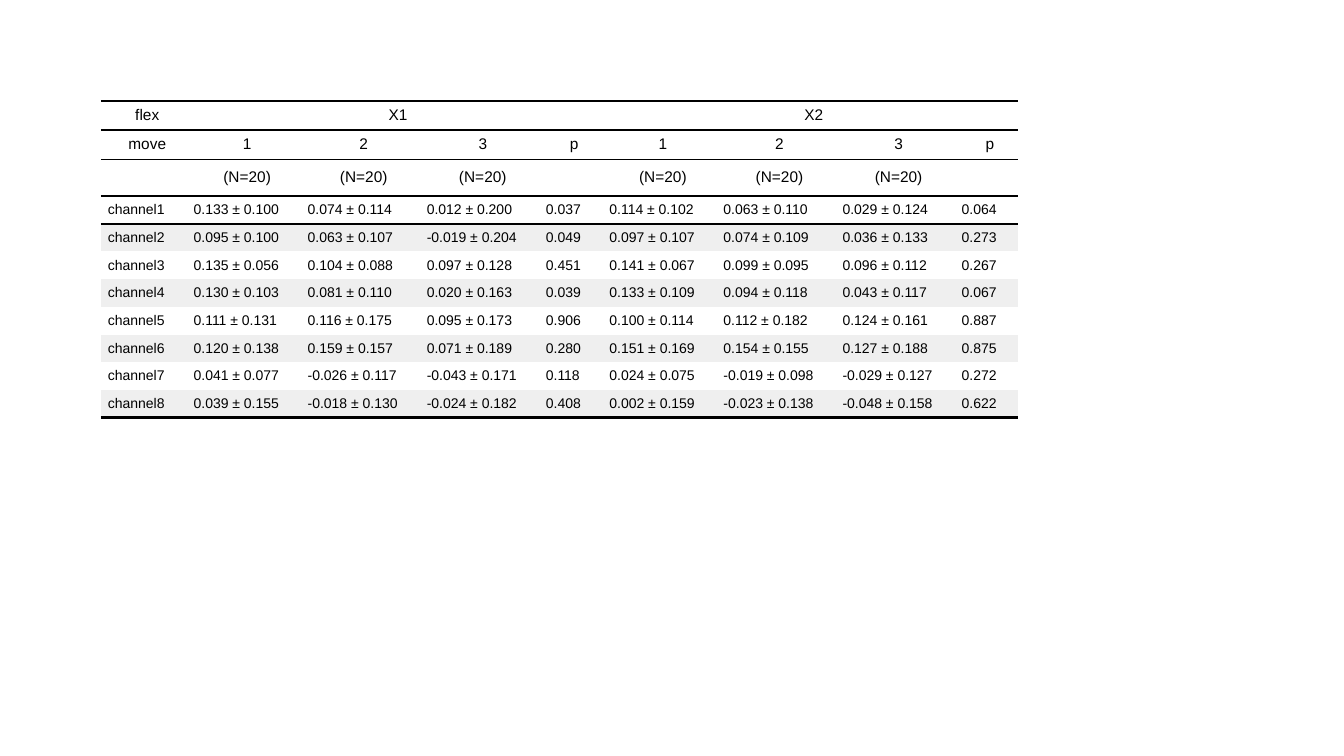
from lxml.etree import SubElement as Sub
from pptx import Presentation as Deck
from pptx.dml.color import RGBColor as Rgb
from pptx.enum.text import MSO_ANCHOR as Anchor, PP_ALIGN as Align
from pptx.oxml.ns import qn
from pptx.util import Inches, Pt

BLACK, GREY = "000000", "EFEFEF"
PLAIN = "{2D5ABB26-0587-4C30-8999-92F81FD0307C}"
GROUP = [1.13, 1.18, 1.18, 0.63]
WIDTHS = [0.85] + GROUP * 2
HEAD = [0.29, 0.29, 0.32]
BODY = 0.275
TITLES = [
    ["flex", "X1", "", "", "", "X2", "", "", ""],
    ["move"] + ["1", "2", "3", "p"] * 2,
    [""] + (["(N=20)"] * 3 + [""]) * 2,
]
STATS = [
    ["0.133 ± 0.100", "0.074 ± 0.114", "0.012 ± 0.200", "0.037",
     "0.114 ± 0.102", "0.063 ± 0.110", "0.029 ± 0.124", "0.064"],
    ["0.095 ± 0.100", "0.063 ± 0.107", "-0.019 ± 0.204", "0.049",
     "0.097 ± 0.107", "0.074 ± 0.109", "0.036 ± 0.133", "0.273"],
    ["0.135 ± 0.056", "0.104 ± 0.088", "0.097 ± 0.128", "0.451",
     "0.141 ± 0.067", "0.099 ± 0.095", "0.096 ± 0.112", "0.267"],
    ["0.130 ± 0.103", "0.081 ± 0.110", "0.020 ± 0.163", "0.039",
     "0.133 ± 0.109", "0.094 ± 0.118", "0.043 ± 0.117", "0.067"],
    ["0.111 ± 0.131", "0.116 ± 0.175", "0.095 ± 0.173", "0.906",
     "0.100 ± 0.114", "0.112 ± 0.182", "0.124 ± 0.161", "0.887"],
    ["0.120 ± 0.138", "0.159 ± 0.157", "0.071 ± 0.189", "0.280",
     "0.151 ± 0.169", "0.154 ± 0.155", "0.127 ± 0.188", "0.875"],
    ["0.041 ± 0.077", "-0.026 ± 0.117", "-0.043 ± 0.171", "0.118",
     "0.024 ± 0.075", "-0.019 ± 0.098", "-0.029 ± 0.127", "0.272"],
    ["0.039 ± 0.155", "-0.018 ± 0.130", "-0.024 ± 0.182", "0.408",
     "0.002 ± 0.159", "-0.023 ± 0.138", "-0.048 ± 0.158", "0.622"],
]
ROWS = TITLES + [[f"channel{n}"] + row for n, row in enumerate(STATS, 1)]
LAST = len(ROWS) - 1
RULES = {0: {"T": 2, "B": 1}, 1: {"T": 1}, 2: {"B": 2}, 3: {"T": 2}, LAST: {"B": 2}}


def color(code):
    return Rgb.from_string(code)


def border(cell, side, width):
    props = cell._tc.get_or_add_tcPr()
    line = Sub(props, qn(f"a:ln{side}"), w=str(Pt(width)))
    fill = Sub(line, qn("a:solidFill"))
    Sub(fill, qn("a:srgbClr"), val=BLACK)


def write(cell, text, head):
    para = cell.text_frame.paragraphs[0]
    para.alignment = Align.CENTER if head else Align.LEFT
    para.space_before = para.space_after = Pt(2)
    props = para._p.get_or_add_pPr()
    props.set("marL", str(Inches(0.07)))
    props.set("indent", "0")
    run = para.add_run()
    run.text = text
    run.font.name = "Arial"
    run.font.size = Pt(11 if head else 10)
    run.font.color.rgb = color(BLACK)


def style(cell, row):
    cell.margin_left = cell.margin_right = 0
    cell.margin_top = cell.margin_bottom = Inches(0.03)
    cell.vertical_anchor = Anchor.MIDDLE
    for side, width in RULES.get(row, {}).items():
        border(cell, side, width)
    if row > 3 and row % 2 == 0:
        cell.fill.solid()
        cell.fill.fore_color.rgb = color(GREY)
    else:
        cell.fill.background()


def results(slide, left, top, width, height):
    frame = slide.shapes.add_table(
        len(ROWS), len(WIDTHS), Inches(left), Inches(top), Inches(width), Inches(height))
    table = frame.table
    table.first_row = table.horz_banding = False
    table._tbl.tblPr.find(qn("a:tableStyleId")).text = PLAIN
    for col, size in zip(table.columns, WIDTHS):
        col.width = Inches(size * width / sum(WIDTHS))
    sizes = HEAD + [BODY] * len(STATS)
    for line, size in zip(table.rows, sizes):
        line.height = Inches(size * height / sum(sizes))
    for start in (1, 5):
        table.cell(0, start).merge(table.cell(0, start + 3))
    for row, texts in enumerate(ROWS):
        for col, text in enumerate(texts):
            cell = table.cell(row, col)
            style(cell, row)
            if text:
                write(cell, text, row < len(HEAD))


deck = Deck()
deck.slide_width, deck.slide_height = Inches(13.33), Inches(7.5)
slide = deck.slides.add_slide(deck.slide_layouts[6])
results(slide, 1, 1, 9.1, 3.1)
deck.save("out.pptx")
